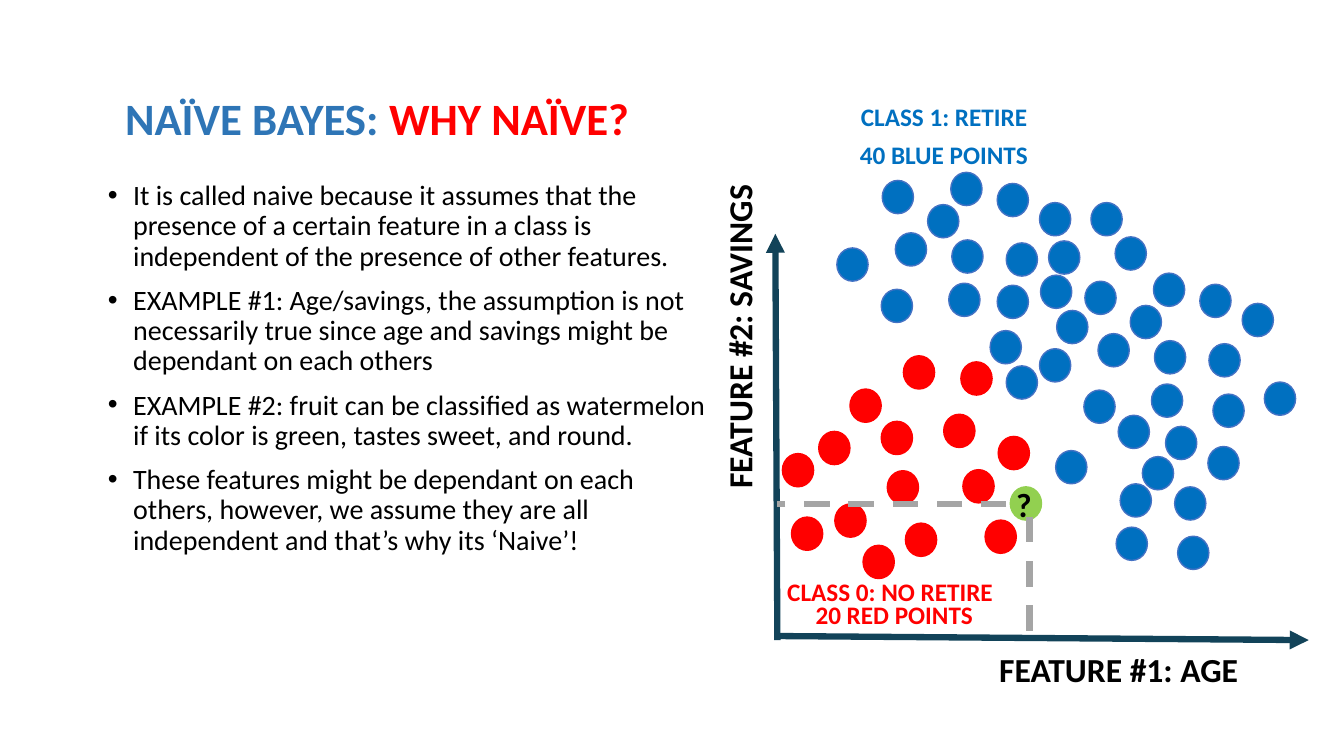
from dataclasses import dataclass

from lxml import etree
from pptx import Presentation
from pptx.dml.color import RGBColor
from pptx.enum.dml import MSO_LINE
from pptx.enum.shapes import MSO_CONNECTOR, MSO_SHAPE
from pptx.enum.text import MSO_ANCHOR, MSO_AUTO_SIZE, PP_ALIGN
from pptx.oxml.ns import qn
from pptx.util import Inches, Pt

OVAL = MSO_SHAPE.OVAL
STRAIGHT = MSO_CONNECTOR.STRAIGHT
DASH = MSO_LINE.DASH
LEFT, CENTER = PP_ALIGN.LEFT, PP_ALIGN.CENTER
TOP, MIDDLE = MSO_ANCHOR.TOP, MSO_ANCHOR.MIDDLE
NO_FIT, GROW = MSO_AUTO_SIZE.NONE, MSO_AUTO_SIZE.SHAPE_TO_FIT_TEXT

BLACK = RGBColor(0x00, 0x00, 0x00)
RED = RGBColor(0xFF, 0x00, 0x00)
BLUE = RGBColor(0x00, 0x70, 0xC0)
BLUE_EDGE = RGBColor(0x44, 0x72, 0xC4)
GREEN = RGBColor(0x92, 0xD0, 0x50)
TITLE_BLUE = RGBColor(0x2E, 0x75, 0xB6)
NAVY = RGBColor(0x12, 0x43, 0x59)
GRAY = RGBColor(0xA5, 0xA5, 0xA5)

FONT = "Calibri"
DOT_W, DOT_H = 0.31, 0.33


@dataclass(frozen=True)
class Label:
    text: str
    left: float
    top: float
    width: float
    height: float
    size: int
    color: RGBColor
    align: PP_ALIGN = LEFT
    wrap: bool = False
    rotation: int = 0


@dataclass(frozen=True)
class Segment:
    start: tuple[float, float]
    end: tuple[float, float]
    color: RGBColor
    dashed: bool = False


@dataclass(frozen=True)
class Cluster:
    fill: RGBColor
    edge: RGBColor
    points: tuple[tuple[float, float], ...]


TITLE = (("NAÏVE BAYES: ", TITLE_BLUE), ("WHY NAÏVE?", RED))
BULLETS = (
    "It is called naive because it assumes that the presence of a certain feature "
    "in a class is independent of the presence of other features. ",
    "EXAMPLE #1: Age/savings, the assumption is not necessarily true since age "
    "and savings might be dependant on each others",
    "EXAMPLE #2: fruit can be classified as watermelon if its color is green, "
    "tastes sweet, and round.",
    "These features might be dependant on each others, however, we assume they "
    "are all independent and that’s why its ‘Naive’!",
)
AXES = (
    Segment((7.71, 6.31), (12.98, 6.35), NAVY),
    Segment((7.71, 6.35), (7.69, 2.32), NAVY),
)
GUIDES = (
    Segment((10.21, 5.13), (10.21, 6.31), GRAY, dashed=True),
    Segment((9.98, 5), (7.71, 5), GRAY, dashed=True),
)
CLUSTERS = (
    Cluster(RED, RED, (
        (8.28, 5), (8.8, 4.67), (9.77, 5.16), (8.12, 4.28), (8.74, 4.18),
        (9.9, 4.33), (8.56, 5.41), (8.96, 3.53), (9.53, 3.59), (9.36, 4.11),
        (8.43, 3.86), (9.55, 4.66), (8.98, 5.19), (7.85, 5.13), (7.76, 4.5),
    )),
    Cluster(BLUE, BLUE_EDGE, (
        (11.06, 2.35), (10.4, 2.39), (11.44, 2.71), (10.31, 3.46), (10.89, 3.31),
        (10.75, 3.87), (11.45, 3.38), (10.76, 2.79), (11.42, 3.81), (11.9, 2.82),
        (11.99, 3.41), (12.03, 3.91), (12.32, 3.01), (11.21, 3.03), (11.09, 4.12),
        (10.47, 4.47), (11.11, 4.8), (11.07, 5.23), (11.56, 4.23), (11.65, 4.83),
        (11.68, 5.32), (11.98, 4.43), (11.33, 4.53), (10.82, 2.01), (12.54, 3.79),
        (9.43, 1.71), (8.3, 2.46), (8.88, 2.31), (8.74, 2.87), (9.44, 2.38),
        (8.75, 1.79), (9.41, 2.81), (9.89, 1.82), (9.98, 2.41), (10.31, 2.01),
        (9.2, 2.03), (9.89, 2.83), (10.32, 2.73), (9.82, 3.28), (10.48, 3.08),
        (9.98, 3.63),
    )),
    Cluster(GREEN, GREEN, ((10.02, 4.83),)),
)
LABELS = (
    Label("FEATURE #1: AGE", 9.05, 6.39, 4.09, 0.5, 24, BLACK, CENTER, wrap=True),
    Label("FEATURE #2: SAVINGS", 5.67, 3.09, 3.32, 0.5, 24, BLACK, CENTER, rotation=270),
    Label("?", 9.98, 4.75, 0.36, 0.5, 24, BLACK),
    Label("40 BLUE POINTS", 8.43, 1.33, 1.91, 0.4, 18, BLUE),
    Label("20 RED POINTS", 7.99, 5.9, 1.78, 0.4, 18, RED),
    Label("CLASS 1: RETIRE", 8.44, 0.96, 1.87, 0.4, 18, BLUE),
    Label("CLASS 0: NO RETIRE", 7.71, 5.67, 2.26, 0.4, 18, RED),
)


def place(sp, left: float, top: float, width: float, height: float) -> None:
    sp.left, sp.top = Inches(left), Inches(top)
    sp.width, sp.height = Inches(width), Inches(height)


def add_run(p, text: str, size: int, color: RGBColor, bold: bool) -> None:
    r = p.add_run()
    r.text = text
    r.font.name, r.font.size, r.font.bold = FONT, Pt(size), bold
    r.font.color.rgb = color


def fill_title(sp) -> None:
    place(sp, 1.17, 0.66, 8.34, 1.09)
    tf = sp.text_frame
    tf.auto_size, tf.vertical_anchor = NO_FIT, MIDDLE
    tf.margin_left = tf.margin_right = Inches(0.07)
    tf.margin_top = tf.margin_bottom = Inches(0.04)
    p = tf.paragraphs[0]
    p.alignment, p.line_spacing = LEFT, 0.9
    for text, color in TITLE:
        add_run(p, text, 32, color, True)


def fill_body(sp) -> None:
    place(sp, 0.97, 1.75, 6.27, 4.74)
    tf = sp.text_frame
    tf.auto_size, tf.vertical_anchor = NO_FIT, TOP
    for i, text in enumerate(BULLETS):
        p = tf.add_paragraph() if i else tf.paragraphs[0]
        p.line_spacing, p.space_before = 0.9, Pt(10)
        add_run(p, text, 20, BLACK, False)
        pPr = p._p.get_or_add_pPr()
        pPr.set("marL", str(Inches(0.25)))
        pPr.set("indent", str(-Inches(0.25)))
        etree.SubElement(pPr, qn("a:buFont"), typeface="Arial")
        etree.SubElement(pPr, qn("a:buChar"), char="•")


def add_segment(s, seg: Segment) -> None:
    ends = [Inches(v) for v in (*seg.start, *seg.end)]
    sp = s.shapes.add_connector(STRAIGHT, *ends)
    sp.line.color.rgb, sp.line.width = seg.color, Pt(4.5)
    if seg.dashed:
        sp.line.dash_style = DASH
    else:
        etree.SubElement(sp.line._get_or_add_ln(), qn("a:tailEnd"), type="triangle")
    etree.SubElement(sp._element.spPr, qn("a:effectLst"))


def add_cluster(s, cluster: Cluster) -> None:
    for x, y in cluster.points:
        sp = s.shapes.add_shape(OVAL, Inches(x), Inches(y), Inches(DOT_W), Inches(DOT_H))
        sp.shadow.inherit = False
        sp.fill.solid()
        sp.fill.fore_color.rgb = cluster.fill
        sp.line.color.rgb, sp.line.width = cluster.edge, Pt(1)


def add_label(s, label: Label) -> None:
    box = [Inches(v) for v in (label.left, label.top, label.width, label.height)]
    sp = s.shapes.add_textbox(*box)
    sp.rotation = label.rotation
    tf = sp.text_frame
    tf.word_wrap, tf.auto_size = label.wrap, GROW
    p = tf.paragraphs[0]
    p.alignment = label.align
    add_run(p, label.text, label.size, label.color, True)


prs = Presentation()
prs.slide_width, prs.slide_height = Inches(13.33), Inches(7.5)
s = prs.slides.add_slide(prs.slide_layouts[1])
fill_title(s.shapes.title)
fill_body(s.placeholders[1])
for axis in AXES:
    add_segment(s, axis)
for cluster in CLUSTERS:
    add_cluster(s, cluster)
for label in LABELS:
    add_label(s, label)
for guide in GUIDES:
    add_segment(s, guide)
prs.save("out.pptx")
